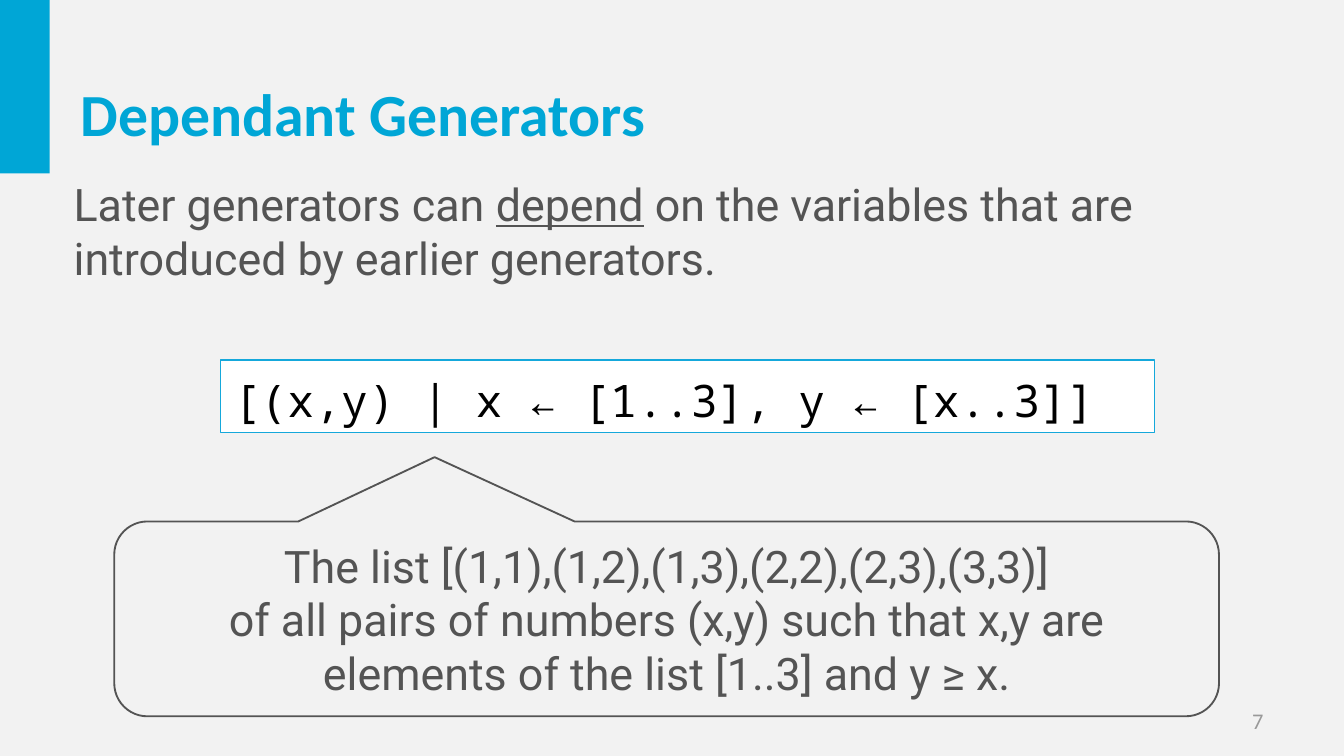
from dataclasses import dataclass

from pptx import Presentation
from pptx.dml.color import RGBColor
from pptx.enum import shapes, text
from pptx.util import Inches, Pt


@dataclass(frozen=True)
class Theme:
    background: str = "F2F2F2"
    accent: str = "00A6D6"
    code_border: str = "15A8DB"
    body: str = "545454"
    muted: str = "999999"
    white: str = "FFFFFF"
    black: str = "000000"
    heading_font: str = "Calibri"
    body_font: str = "Roboto"
    code_font: str = "Noto Sans Mono"
    title_size: int = 32
    body_size: int = 24
    number_size: int = 12


@dataclass(frozen=True)
class Box:
    left: float
    top: float
    width: float
    height: float

    def lengths(self):
        return [Inches(v) for v in (self.left, self.top, self.width, self.height)]


THEME = Theme()
LEFT = text.PP_ALIGN.LEFT
CENTER = text.PP_ALIGN.CENTER
RIGHT = text.PP_ALIGN.RIGHT


def add_box(slide, kind, box: Box, fill=None, line=None, line_width=1.0):
    """Draw a preset shape; without a colour, fill or line is left out."""
    shape = slide.shapes.add_shape(kind, *box.lengths())
    shape.shadow.inherit = False
    if fill:
        shape.fill.solid()
        shape.fill.fore_color.rgb = RGBColor.from_string(fill)
    else:
        shape.fill.background()
    if line:
        shape.line.color.rgb = RGBColor.from_string(line)
        shape.line.width = Pt(line_width)
    else:
        shape.line.fill.background()
    return shape


def write(shape, content: str, *, font=THEME.body_font, size=THEME.body_size,
          color=THEME.body, bold=False, align=LEFT, spacing=None, underlined=""):
    """Write one paragraph per line, underlining one chosen word."""
    frame = shape.text_frame
    frame.word_wrap = True
    frame.vertical_anchor = text.MSO_ANCHOR.MIDDLE
    for index, line in enumerate(content.split("\n")):
        paragraph = frame.add_paragraph() if index else frame.paragraphs[0]
        paragraph.alignment = align
        if spacing:
            paragraph.line_spacing = spacing
        before, word, after = line.partition(underlined) if underlined else (line, "", "")
        for part in filter(None, (before, word, after)):
            run = paragraph.add_run()
            run.text = part
            run.font.name = font
            run.font.size = Pt(size)
            run.font.bold = bold
            run.font.underline = part == underlined
            run.font.color.rgb = RGBColor.from_string(color)


def add_text(slide, box: Box, content: str, **style):
    write(slide.shapes.add_textbox(*box.lengths()), content, **style)


def main():
    # Widescreen 16:9 page
    presentation = Presentation()
    presentation.slide_width = Inches(10)
    presentation.slide_height = Inches(10 * 9 / 16)
    slide = presentation.slides.add_slide(presentation.slide_layouts[6])
    slide.background.fill.solid()
    slide.background.fill.fore_color.rgb = RGBColor.from_string(THEME.background)

    # Corner bar, page number and title
    add_box(slide, shapes.MSO_SHAPE.RECTANGLE, Box(0, 0, 0.37, 1.29), fill=THEME.accent)
    add_text(slide, Box(7.17, 5.21, 2.33, 0.3), "7", font=THEME.heading_font,
             size=THEME.number_size, color=THEME.muted, align=RIGHT)
    add_text(slide, Box(0.5, 0.23, 9, 1.22), "Dependant Generators",
             font=THEME.heading_font, size=THEME.title_size, color=THEME.accent, bold=True)

    # Explanation
    add_text(slide, Box(0.45, 1.26, 8.86, 0.91),
             "Later generators can depend on the variables that are "
             "introduced by earlier generators.", underlined="depend")

    # Code line
    code = add_box(slide, shapes.MSO_SHAPE.RECTANGLE, Box(1.64, 2.68, 6.95, 0.54),
                   fill=THEME.white, line=THEME.code_border, line_width=0.75)
    write(code, "[(x,y) | x ← [1..3], y ← [x..3]]", font=THEME.code_font,
          color=THEME.black, spacing=1.1)

    # Callout pointing at the code
    callout = add_box(slide, shapes.MSO_SHAPE.ROUNDED_RECTANGULAR_CALLOUT,
                      Box(0.85, 3.88, 8.22, 1.45), line=THEME.body)
    for index, value in enumerate((-0.21, -0.83, 0.17)):
        callout.adjustments[index] = value
    write(callout, "The list [(1,1),(1,2),(1,3),(2,2),(2,3),(3,3)]\n"
          "of all pairs of numbers (x,y) such that x,y are "
          "elements of the list [1..3] and y ≥ x.", align=CENTER)

    presentation.save("out.pptx")


if __name__ == "__main__":
    main()
